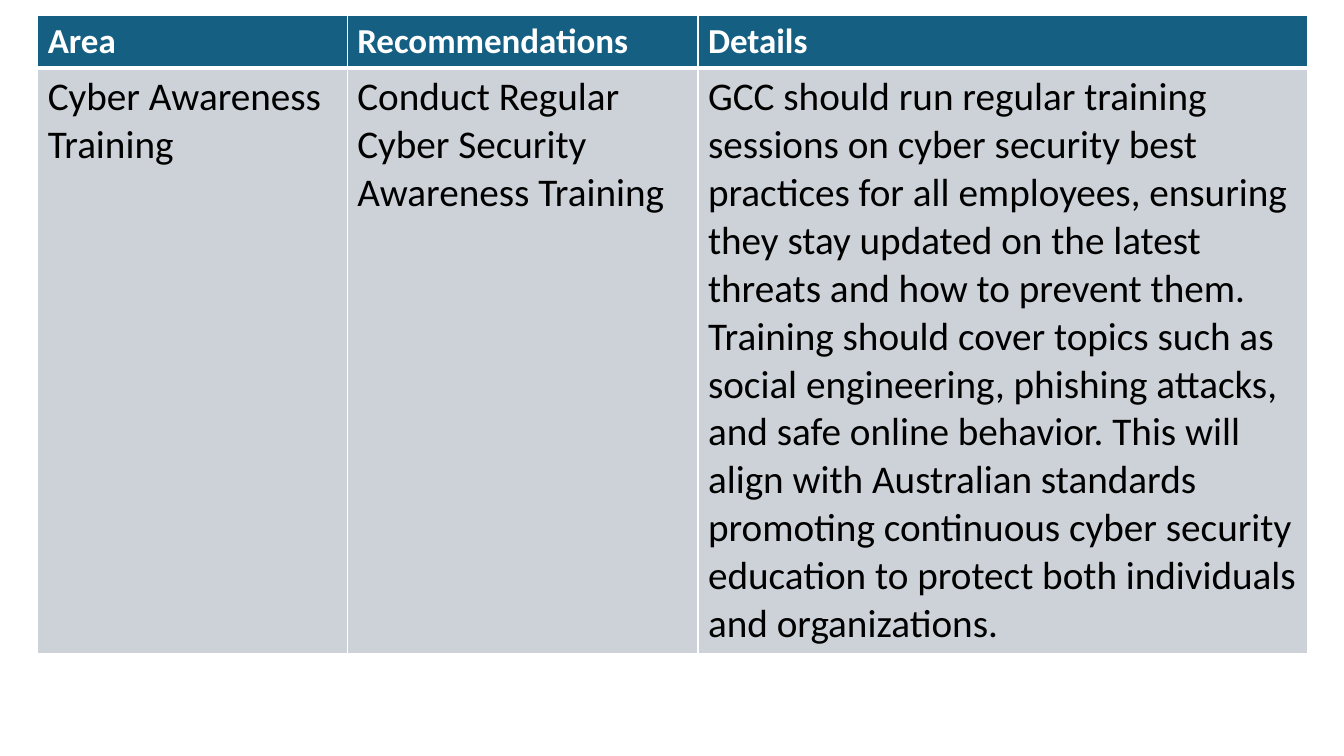
import pptx
import pptx.dml.color
import pptx.enum.text
import pptx.oxml
import pptx.oxml.ns
import pptx.util
from dataclasses import dataclass

Cm = pptx.util.Cm
Pt = pptx.util.Pt


@dataclass(frozen=True)
class Theme:
    font: str = "Calibri"
    header_fill: str = "156082"
    header_text: str = "FFFFFF"
    body_fill: str = "CCD2D8"
    body_text: str = "000000"
    border: str = "FFFFFF"
    header_size: int = 25
    body_size: int = 28
    thin_line: int = 1
    thick_line: int = 3


THEME = Theme()
COLUMN_WIDTHS = (7.8, 8.84, 15.37)
ROW_HEIGHTS = (1.32, 14.73)
ROWS = (
    ("Area", "Recommendations", "Details"),
    (
        "Cyber Awareness Training",
        "Conduct Regular Cyber Security Awareness Training",
        "GCC should run regular training sessions on cyber security best practices "
        "for all employees, ensuring they stay updated on the latest threats and how "
        "to prevent them. Training should cover topics such as social engineering, "
        "phishing attacks, and safe online behavior. This will align with Australian "
        "standards promoting continuous cyber security education to protect both "
        "individuals and organizations.",
    ),
)


def color(value):
    return pptx.dml.color.RGBColor.from_string(value)


def set_borders(cell, bottom_width):
    properties = cell._tc.get_or_add_tcPr()
    widths = {"L": THEME.thin_line, "R": THEME.thin_line,
              "T": THEME.thin_line, "B": bottom_width}
    for position, (side, width) in enumerate(widths.items()):
        line = pptx.oxml.parse_xml(
            f'<a:ln{side} {pptx.oxml.ns.nsdecls("a")} w="{Pt(width)}">'
            f'<a:solidFill><a:srgbClr val="{THEME.border}"/></a:solidFill>'
            f'</a:ln{side}>'
        )
        properties.insert(position, line)


def fill_cell(cell, text, is_header):
    cell.fill.solid()
    cell.fill.fore_color.rgb = color(THEME.header_fill if is_header else THEME.body_fill)
    anchors = pptx.enum.text.MSO_ANCHOR
    cell.vertical_anchor = anchors.MIDDLE if is_header else anchors.TOP
    set_borders(cell, THEME.thick_line if is_header else THEME.thin_line)
    span = cell.text_frame.paragraphs[0].add_run()
    span.text = text
    span.font.name = THEME.font
    span.font.size = Pt(THEME.header_size if is_header else THEME.body_size)
    span.font.bold = is_header
    span.font.color.rgb = color(THEME.header_text if is_header else THEME.body_text)


def add_recommendations(page, left, top):
    table = page.shapes.add_table(
        len(ROWS), len(COLUMN_WIDTHS), left, top,
        Cm(sum(COLUMN_WIDTHS)), Cm(sum(ROW_HEIGHTS)),
    ).table
    table.horz_banding = False
    for column, width in zip(table.columns, COLUMN_WIDTHS):
        column.width = Cm(width)
    for row, height, texts in zip(table.rows, ROW_HEIGHTS, ROWS):
        row.height = Cm(height)
        for cell, text in zip(row.cells, texts):
            fill_cell(cell, text, texts is ROWS[0])


def main():
    deck = pptx.Presentation()
    deck.slide_width = Cm(33.87)
    deck.slide_height = Cm(19.05)
    page = deck.slides.add_slide(deck.slide_layouts.get_by_name("Blank"))
    add_recommendations(page, Cm(0.95), Cm(0.39))
    deck.save("out.pptx")


if __name__ == "__main__":
    main()
